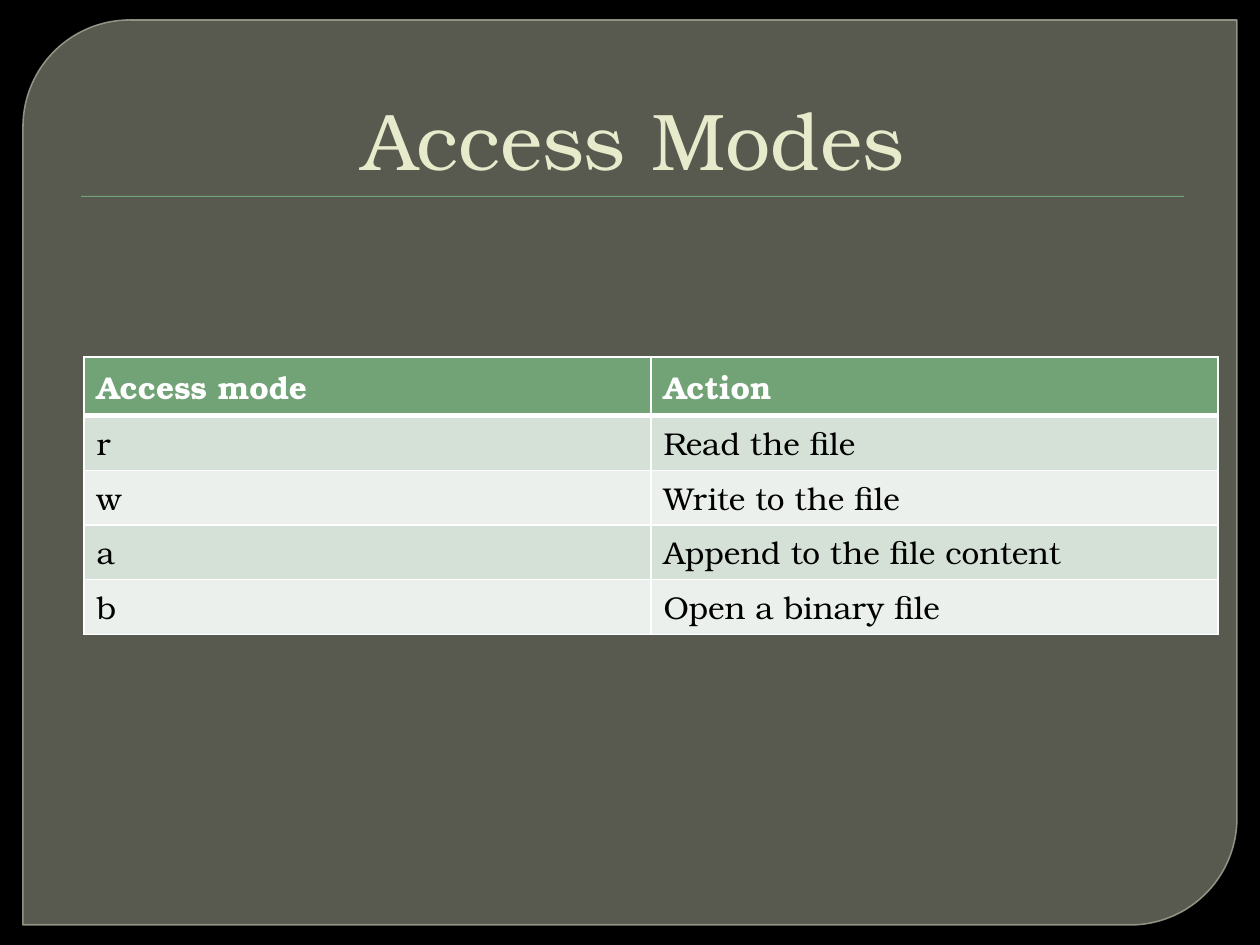
import pptx
import pptx.dml.color
import pptx.enum.shapes
import pptx.enum.text
import pptx.oxml
import pptx.oxml.ns
import pptx.util
import lxml.etree

PX = 914400 // 126  # EMU per pixel
FONT = "TeX Gyre Bonum"
COLORS = {
    "backdrop": "000000", "panel": "888B7B", "panel_edge": "9DA090",
    "green": "72A376", "title": "E7EACB", "white": "FFFFFF",
    "text": "000000", "band_dark": "D5E0D6", "band_light": "EBF0EC",
}


def rgb(name):
    return pptx.dml.color.RGBColor.from_string(COLORS[name])


def write(frame, text, size=18, color="text", bold=False, align=None):
    paragraph = frame.paragraphs[0]
    if align is not None:
        paragraph.alignment = align
    run = paragraph.add_run()
    run.text = text
    run.font.name = FONT
    run.font.size = pptx.util.Pt(size)
    run.font.bold = bold
    run.font.color.rgb = rgb(color)


presentation = pptx.Presentation()
presentation.slide_width = pptx.util.Inches(10)
presentation.slide_height = pptx.util.Inches(7.5)
slide = presentation.slides.add_slide(presentation.slide_layouts[5])
slide.background.fill.solid()
slide.background.fill.fore_color.rgb = rgb("backdrop")

# Title
title = slide.shapes.title
title.left, title.top, title.width, title.height = (n * PX for n in (63, 35, 1134, 158))
title.text_frame.auto_size = pptx.enum.text.MSO_AUTO_SIZE.NONE
title.text_frame.vertical_anchor = pptx.enum.text.MSO_ANCHOR.BOTTOM
write(title.text_frame, "Access Modes", size=46, color="title",
      align=pptx.enum.text.PP_ALIGN.CENTER)
title.text_frame.paragraphs[0]._p.get_or_add_pPr().set("marL", str(7 * PX))

# Panel and title rule, both behind the title
SHAPES = pptx.enum.shapes.MSO_SHAPE
panel = slide.shapes.add_shape(SHAPES.ROUND_2_DIAG_RECTANGLE,
                               *(n * PX for n in (23, 20, 1214, 905)))
panel.adjustments[0] = 0.118
panel.adjustments[1] = 0
panel.line.color.rgb = rgb("panel_edge")
panel.line.width = pptx.util.Pt(0.87)
title_rule = slide.shapes.add_shape(SHAPES.RECTANGLE,
                                    *(n * PX for n in (81, 196, 1103, 1)))
title_rule.line.fill.background()
for backing, color in ((panel, "panel"), (title_rule, "green")):
    backing.shadow.inherit = False
    backing.fill.solid()
    backing.fill.fore_color.rgb = rgb(color)
    title.element.addprevious(backing.element)

# Panel transparency: fill first, then edge
for solid, opacity in zip(panel.element.spPr.iter(pptx.oxml.ns.qn("a:solidFill")), (65, 88)):
    lxml.etree.SubElement(solid[0], pptx.oxml.ns.qn("a:alpha"), val=str(opacity * 1000))

# Access mode table
rows = [
    ("Access mode", "Action"),
    ("r", "Read the file"),
    ("w", "Write to the file"),
    ("a", "Append to the file content"),
    ("b", "Open a binary file"),
]
modes = slide.shapes.add_table(len(rows), 2, 84 * PX, 357 * PX, 1134 * PX, 5 * 52 * PX).table
for row_index, row in enumerate(rows):
    header = row_index == 0
    band = "green" if header else ("band_light", "band_dark")[row_index % 2]
    for column_index, text in enumerate(row):
        cell = modes.cell(row_index, column_index)
        write(cell.text_frame, text, color="white" if header else "text", bold=header)

        # Borders go before the fill in the cell properties
        properties = cell._tc.get_or_add_tcPr()
        for side in "LRTB":
            thick = (header and side == "B") or (row_index == 1 and side == "T")
            border = lxml.etree.SubElement(properties, pptx.oxml.ns.qn("a:ln" + side),
                                           w=str(pptx.util.Pt(3 if thick else 1)))
            paint = lxml.etree.SubElement(border, pptx.oxml.ns.qn("a:solidFill"))
            lxml.etree.SubElement(paint, pptx.oxml.ns.qn("a:srgbClr"), val=COLORS["white"])
        cell.fill.solid()
        cell.fill.fore_color.rgb = rgb(band)

presentation.save("out.pptx")
